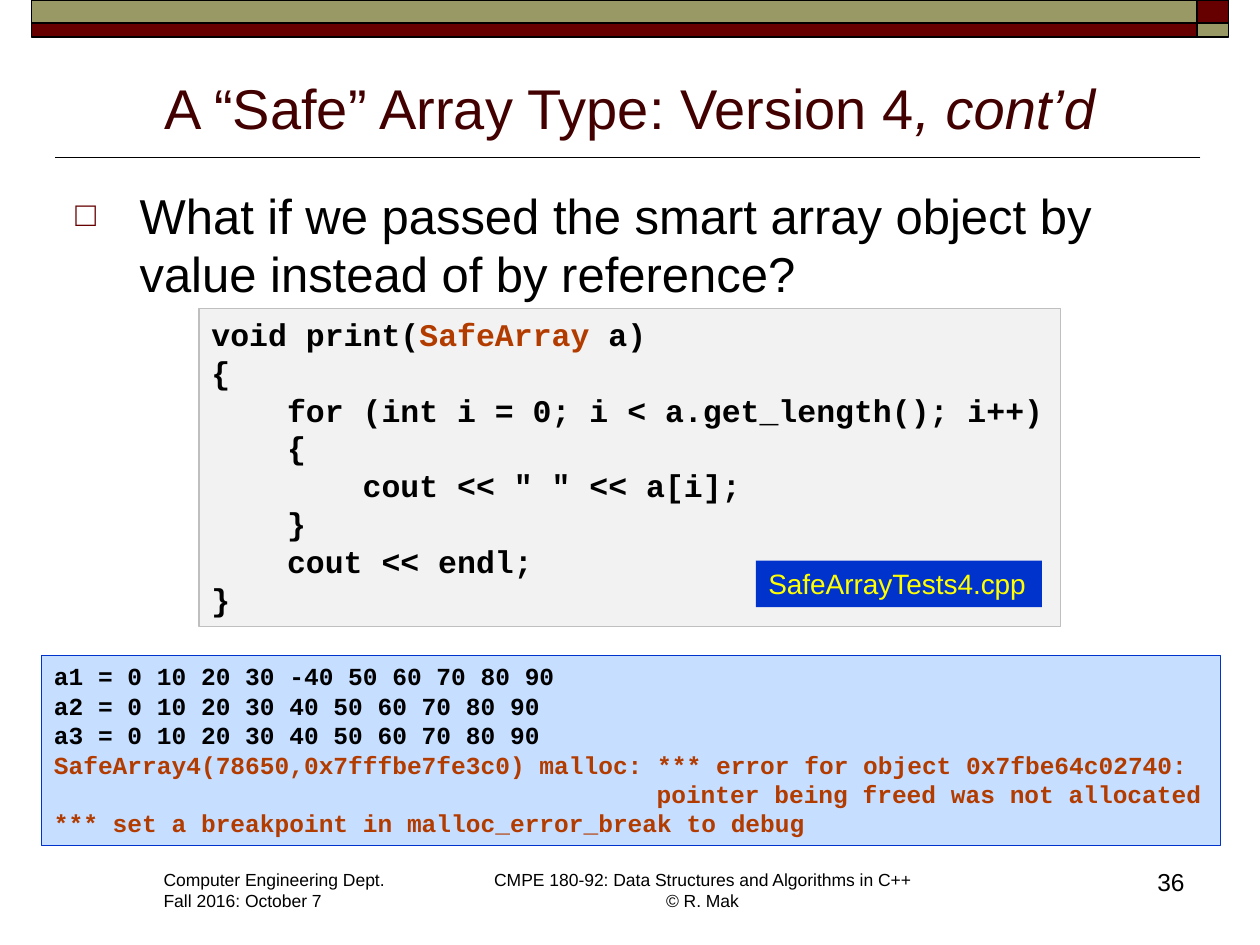
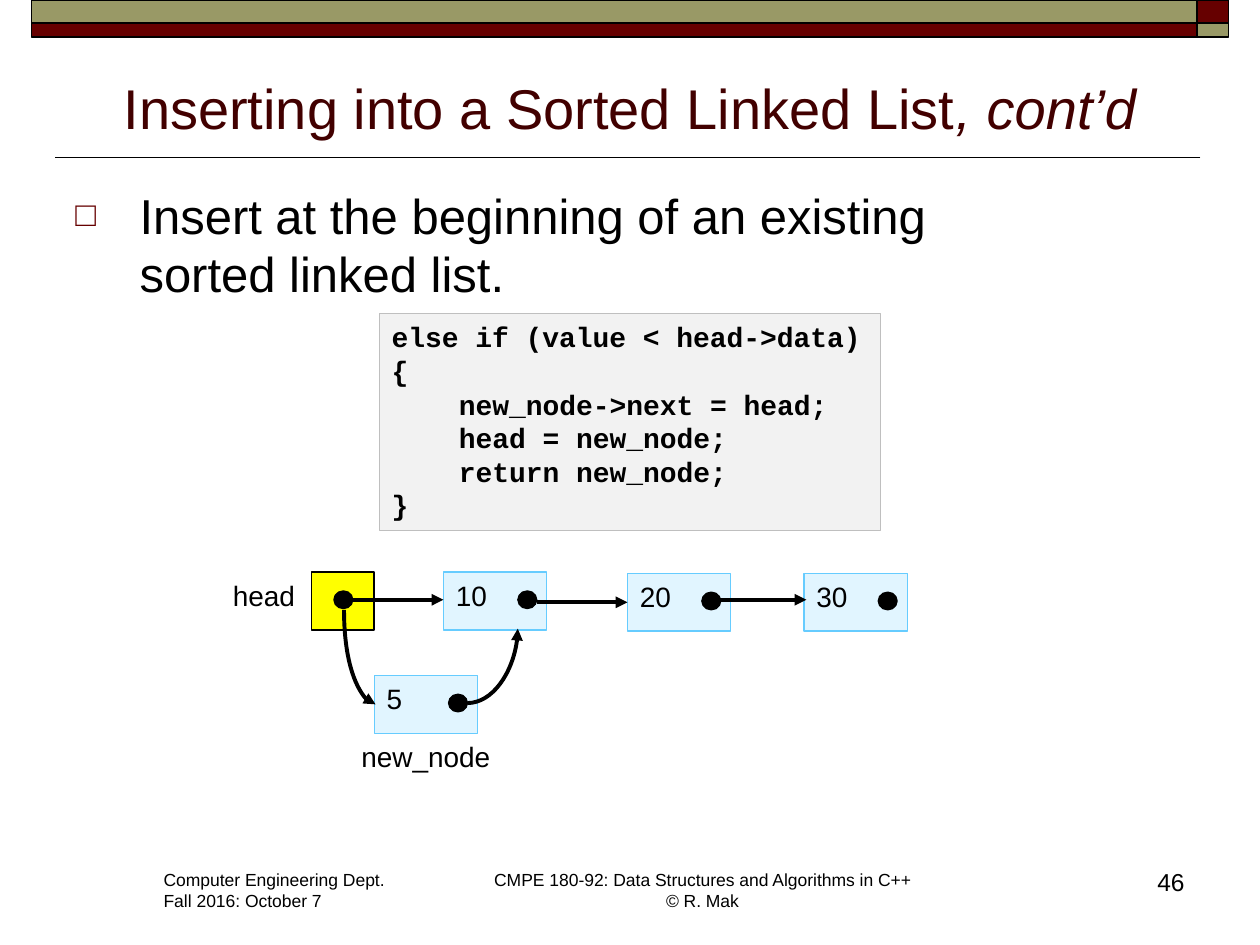
import pptx
import pptx.dml.color
import pptx.enum.shapes
import pptx.enum.text
import pptx.oxml.ns
import pptx.oxml.xmlchemy
import pptx.util

Pt = pptx.util.Pt
SHAPE = pptx.enum.shapes.MSO_SHAPE
CONNECTOR = pptx.enum.shapes.MSO_CONNECTOR
ALIGN = pptx.enum.text.PP_ALIGN
ANCHOR = pptx.enum.text.MSO_ANCHOR
AUTO = pptx.enum.text.MSO_AUTO_SIZE
qn = pptx.oxml.ns.qn

BLACK, MAROON, OLIVE = "000000", "660000", "999966"
TITLE, RUST, BLUE, YELLOW = "420000", "B23C00", "0033CC", "FFFF00"
CODE_FILL, CODE_LINE, OUTPUT_FILL = "F2F2F2", "BFBFBF", "C6DEFF"
NODE_FILL, NODE_LINE = "E1F5FF", "66CCFF"
CHAR_WIDTH = 0.6

SAFE_CODE = [
    [("void print(", {}), ("SafeArray", {"color": RUST}), (" a)", {})],
    "{",
    "    for (int i = 0; i < a.get_length(); i++)",
    "    {",
    '        cout << " " << a[i];',
    "    }",
    "    cout << endl;",
    "}",
]
SAFE_OUTPUT = [
    "a1 = 0 10 20 30 -40 50 60 70 80 90",
    "a2 = 0 10 20 30 40 50 60 70 80 90",
    "a3 = 0 10 20 30 40 50 60 70 80 90",
]
SAFE_ERRORS = [
    "SafeArray4(78650,0x7fffbe7fe3c0) malloc: *** error for object 0x7fbe64c02740:",
    " " * 41 + "pointer being freed was not allocated",
    "*** set a breakpoint in malloc_error_break to debug",
]
INSERT_CODE = [
    "else if (value < head->data)",
    "{",
    "    new_node->next = head;",
    "    head = new_node;",
    "    return new_node;",
    "}",
]


def rgb(value):
    return pptx.dml.color.RGBColor.from_string(value)


def font(size, color=BLACK, name="Arial", **extra):
    return {"size": Pt(size), "name": name, "color": color, **extra}


def element(tag, **attributes):
    el = pptx.oxml.xmlchemy.OxmlElement(tag)
    for key, value in attributes.items():
        el.set(key, value)
    return el


def add_run(p, text, fmt):
    for i, part in enumerate(text.split("\n")):
        if i:
            p.add_line_break()
        r = p.add_run()
        r.text = part
        for key, value in fmt.items():
            if key == "color":
                r.font.color.rgb = rgb(value)
            else:
                setattr(r.font, key, value)


def write(sp, lines, fmt, align=ALIGN.LEFT, anchor=ANCHOR.TOP, grow=False):
    tf = sp.text_frame
    frame = {
        "word_wrap": not grow,
        "auto_size": AUTO.SHAPE_TO_FIT_TEXT if grow else AUTO.NONE,
        "vertical_anchor": anchor,
    }
    for key, value in frame.items():
        setattr(tf, key, value)
    for i, line in enumerate(lines):
        p = tf.add_paragraph() if i else tf.paragraphs[0]
        p.alignment = align
        runs = [(line, {})] if isinstance(line, str) else line
        for text, extra in runs:
            add_run(p, text, {**fmt, **extra})


def add_text(s, at, lines, fmt, **options):
    sp = s.shapes.add_textbox(*map(Pt, at))
    write(sp, lines, fmt, **options)
    return sp


def add_box(shapes, at, fill, line=None, weight=0.75, kind=SHAPE.RECTANGLE):
    sp = shapes.add_shape(kind, *map(Pt, at))
    sp.shadow.inherit = False
    sp.fill.solid()
    sp.fill.fore_color.rgb = rgb(fill)
    if line:
        sp.line.color.rgb = rgb(line)
        sp.line.width = Pt(weight)
    else:
        sp.line.fill.background()
    return sp


def add_line(s, start, end, weight=2.25, arrow=True, kind=CONNECTOR.STRAIGHT):
    cx = s.shapes.add_connector(kind, *map(Pt, start + end))
    cx.line.color.rgb = rgb(BLACK)
    cx.line.width = Pt(weight)
    pr = cx._element.spPr
    if arrow:
        pr.find(qn("a:ln")).append(element("a:tailEnd", type="triangle"))
    pr.append(element("a:effectLst"))
    return pr


def add_curve(s, start, end, rotation=0):
    pr = add_line(s, start, end, kind=CONNECTOR.CURVE)
    pr.find(qn("a:prstGeom")).set("prst", "curvedConnector2")
    if rotation:
        pr.find(qn("a:xfrm")).set("rot", str(rotation * 60000))


def set_indent(p, margin, first=0):
    pr = p._p.get_or_add_pPr()
    pr.set("marL", str(int(Pt(margin))))
    pr.set("indent", str(int(Pt(first))))
    return pr


def add_code(s, at, lines, size, fill=CODE_FILL, line=CODE_LINE):
    rows = [[(row, {})] if isinstance(row, str) else row for row in lines]
    depths = [len(row[0][0]) - len(row[0][0].lstrip()) for row in rows]
    rows = [[(row[0][0].lstrip(), row[0][1])] + row[1:] for row in rows]
    sp = add_box(s.shapes, at, fill, line)
    write(sp, rows, font(size, name="Courier New", bold=True), grow=True)
    for p, depth in zip(sp.text_frame.paragraphs, depths):
        if depth:
            set_indent(p, depth * size * CHAR_WIDTH)


def add_bullet(s, text):
    sp = add_text(s, (36, 102.24, 648, 81.36), [text], font(28))
    p = sp.text_frame.paragraphs[0]
    p.space_before = Pt(5.6)
    pr = set_indent(p, 36.72, -36.72)
    color = element("a:buClr")
    color.append(element("a:srgbClr", val=MAROON))
    pr.extend([color, element("a:buSzPct", val="70000"),
               element("a:buFont", typeface="Arial"),
               element("a:buChar", char="\u25a1")])


def add_slide(prs, title, number, bullet):
    s = prs.slides.add_slide(prs.slide_layouts[5])
    add_line(s, (686, 90), (31.68, 90), weight=1, arrow=False)
    for at, fill in (((684, 0, 18, 13), MAROON), ((18, 0, 666, 13), OLIVE),
                     ((18, 13, 666, 8), MAROON), ((684, 13, 18, 8), OLIVE)):
        add_box(s.shapes, at, fill, BLACK, 1)
    add_text(s, (86.4, 493.2, 142.56, 31.68),
             ["Computer Engineering Dept.", "Fall 2016: October 7"],
             font(10), grow=True)
    add_text(s, (273.6, 493.2, 255.6, 31.68),
             ["CMPE 180-92: Data Structures and Algorithms in C++\n\u00a9 R. Mak"],
             font(10), align=ALIGN.CENTER, grow=True)
    sp = s.shapes.title
    for key, value in zip(("left", "top", "width", "height"), (36, 32.4, 648, 51.84)):
        setattr(sp, key, Pt(value))
    write(sp, [[(title, {}), (", cont\u2019d", {"italic": True})]],
          font(32, TITLE), align=ALIGN.CENTER, anchor=ANCHOR.BOTTOM)
    add_bullet(s, bullet)
    add_text(s, (534.24, 491.76, 149.76, 36), [str(number)], font(14),
             align=ALIGN.RIGHT)
    return s


def add_node(s, x, y, text="", width=59.04, dot=42.48, fill=NODE_FILL, line=NODE_LINE):
    shapes = s.shapes.add_group_shape().shapes
    sp = add_box(shapes, (x, y, width, 33.12), fill, line)
    if text:
        write(sp, [text], font(16))
    add_box(shapes, (x + dot, y + 10.8, 10.8, 10.08), BLACK, BLACK, kind=SHAPE.OVAL)


def build_safe_array(prs):
    s = add_slide(prs, "A \u201cSafe\u201d Array Type: Version 4", 36,
                  "What if we passed the smart array object by value "
                  "instead of by reference?")
    add_code(s, (113.76, 176.4, 492.48, 181.44), SAFE_CODE, 18)
    errors = [[(line, {"color": RUST})] for line in SAFE_ERRORS]
    add_code(s, (23.76, 374.4, 673.92, 108.72), SAFE_OUTPUT + errors, 14,
             OUTPUT_FILL, BLUE)
    sp = add_box(s.shapes, (432, 320.4, 163.44, 26.64), BLUE)
    write(sp, ["SafeArrayTests4.cpp"], font(16, YELLOW), grow=True)


def build_linked_list(prs):
    s = add_slide(prs, "Inserting into a Sorted Linked List", 46,
                  "Insert at the beginning of an existing\nsorted linked list.")
    add_code(s, (216.72, 179.28, 286.56, 123.84), INSERT_CODE, 16)
    add_node(s, 177.84, 326.88, width=36, dot=12.96, fill=YELLOW, line=BLACK)
    for x, y, text in ((253.44, 326.88, "10"), (358.56, 327.6, "20"),
                       (459.36, 327.6, "30"), (213.84, 385.92, "5")):
        add_node(s, x, y, text)
    for x, y in ((201.6, 342.72), (306.72, 344.16), (408.96, 342.72)):
        add_line(s, (x, y), (x + 51.84, y))
    add_curve(s, (232.56, 366.48), (178.56, 384.48), rotation=270)
    add_curve(s, (267.12, 401.76), (295.92, 359.28))
    for at, text in (((126, 326.88, 50.4, 26.64), "head"),
                     ((199.44, 419.04, 88.56, 26.64), "new_node")):
        add_text(s, at, [text], font(16), grow=True)


def main():
    prs = pptx.Presentation()
    prs.slide_width, prs.slide_height = Pt(720), Pt(540)
    build_safe_array(prs)
    build_linked_list(prs)
    prs.save("out.pptx")


main()
